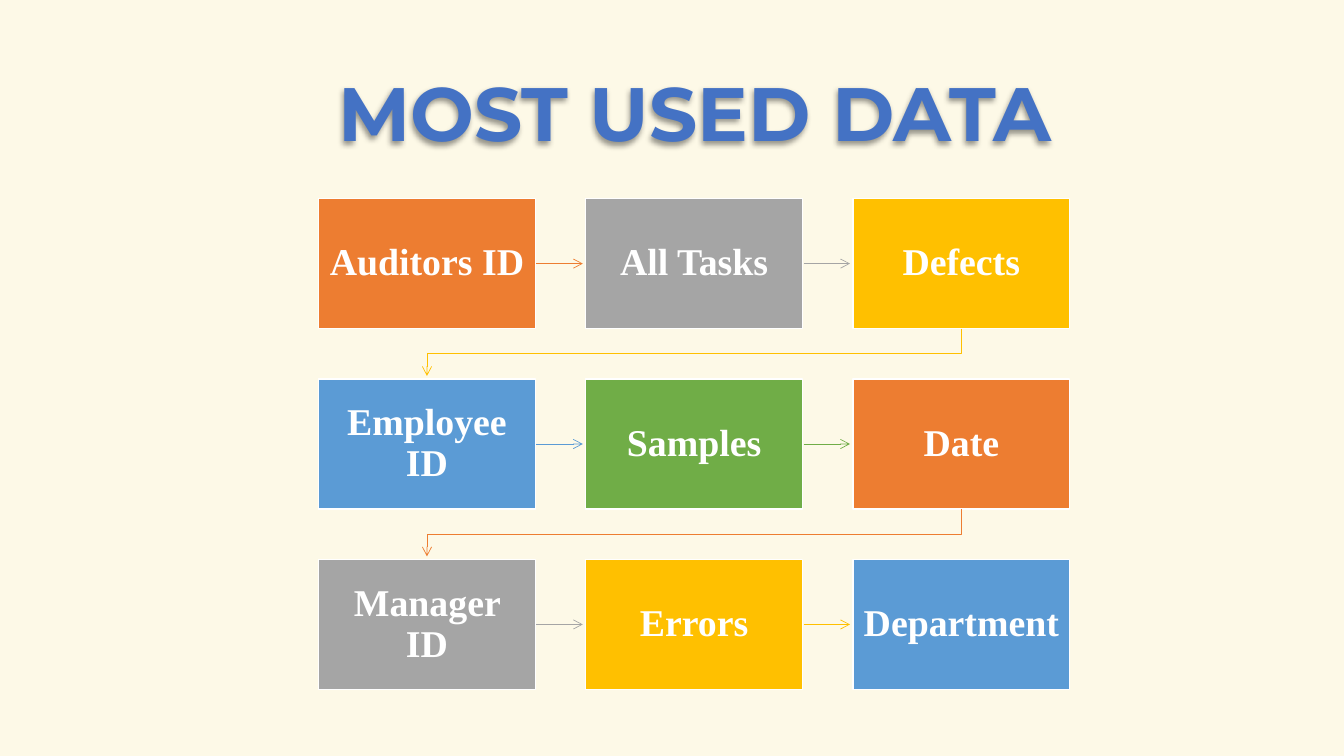
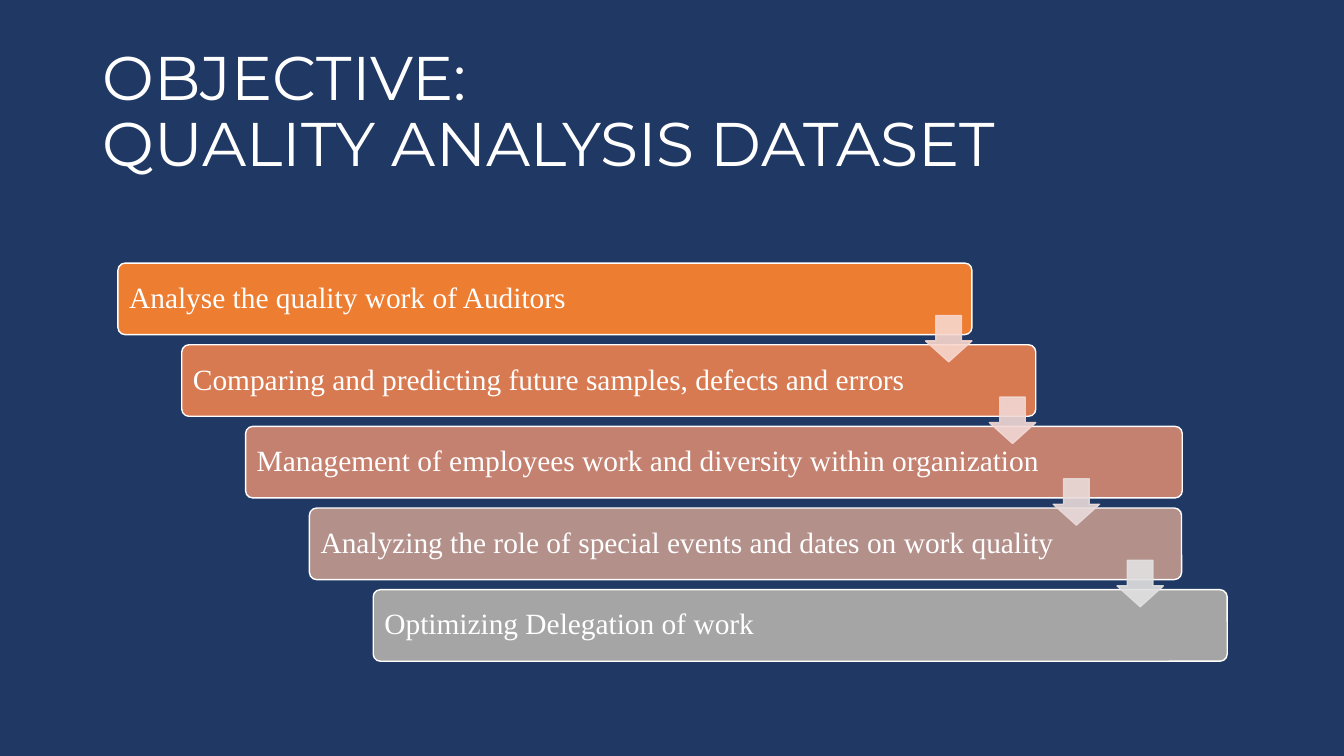
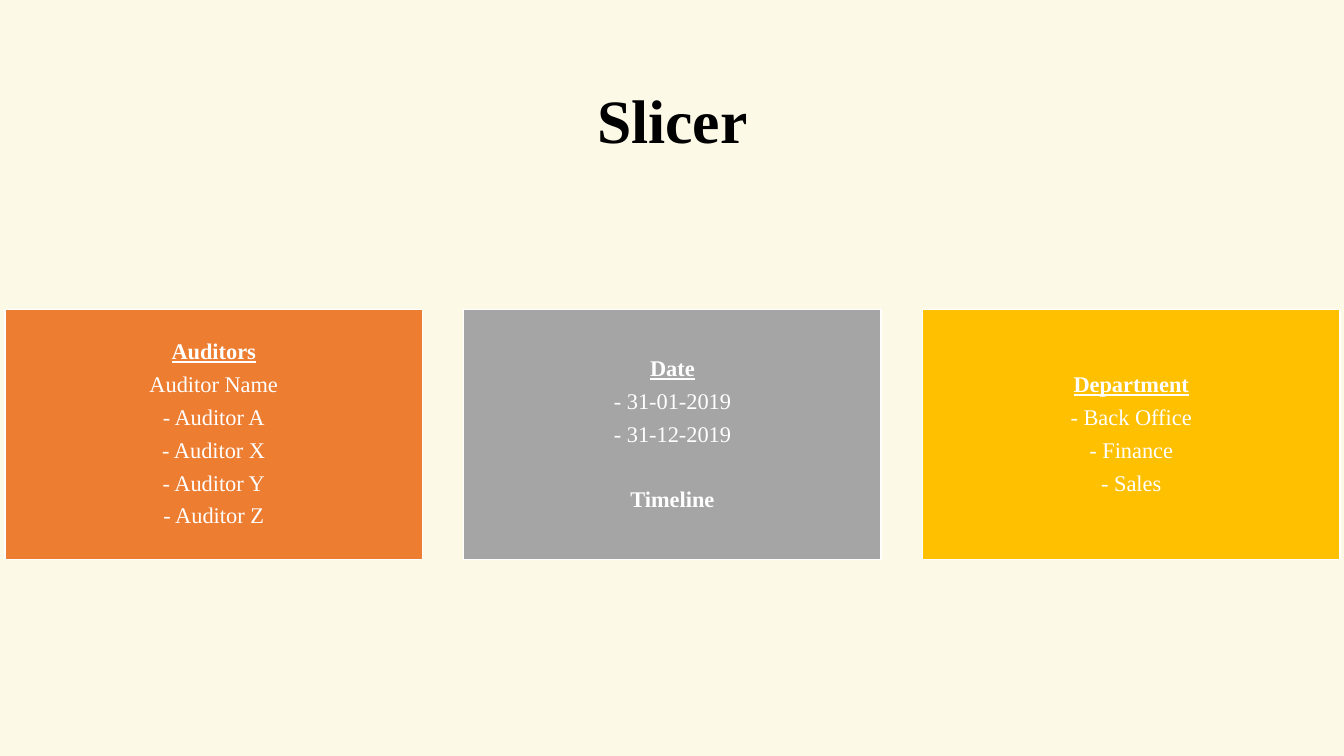
import dataclasses

import lxml.etree
import pptx
import pptx.dml.color
import pptx.enum.shapes
import pptx.enum.text
import pptx.oxml.ns
import pptx.util

Inches = pptx.util.Inches
SHAPES = pptx.enum.shapes.MSO_SHAPE
ALIGN = pptx.enum.text.PP_ALIGN
qn = pptx.oxml.ns.qn


@dataclasses.dataclass(frozen=True)
class Theme:
    """Colours, fonts and type sizes of the deck."""
    cream: str = "FDF9E7"
    navy: str = "203864"
    white: str = "FFFFFF"
    black: str = "000000"
    heading_blue: str = "4472C4"
    orange: str = "ED7D31"
    grey: str = "A5A5A5"
    gold: str = "FFC000"
    blue: str = "5B9BD5"
    green: str = "70AD47"
    display: str = "Montserrat"
    serif: str = "Times New Roman"
    hero_size: int = 54
    title_size: int = 44
    field_size: int = 27
    step_size: int = 21
    card_size: int = 16
    after: float = 0.39

    @property
    def accents(self):
        """Return the colour cycle of the boxes."""
        return [self.orange, self.grey, self.gold, self.blue, self.green]


THEME = Theme()


def rgb(code):
    """Return the colour for a hex code."""
    return pptx.dml.color.RGBColor.from_string(code)


def write(frame, lines, size, color=THEME.white, font=THEME.serif, bold=False,
          align=ALIGN.CENTER, spacing=0.9, after=0, inset=(0.1, 0.05, 0.1, 0.05), wrap=True):
    """Write lines, each a string or a (string, overrides) pair, into a text frame."""
    frame.word_wrap = wrap
    frame.auto_size = pptx.enum.text.MSO_AUTO_SIZE.NONE
    frame.vertical_anchor = pptx.enum.text.MSO_ANCHOR.MIDDLE
    frame.margin_left, frame.margin_top, frame.margin_right, frame.margin_bottom = map(Inches, inset)
    for number, line in enumerate(lines):
        text, extra = (line, {}) if isinstance(line, str) else line
        paragraph = frame.paragraphs[0] if number == 0 else frame.add_paragraph()
        paragraph.text = text
        paragraph.alignment = align
        paragraph.line_spacing = spacing
        paragraph.space_before = pptx.util.Pt(extra.get("before", 0))
        paragraph.space_after = pptx.util.Pt(after)
        for run in paragraph.runs:
            run.font.name = font
            run.font.size = pptx.util.Pt(size)
            run.font.bold = extra.get("bold", bold)
            run.font.underline = extra.get("underline", False)
            run.font.color.rgb = rgb(color)


def add_slide(deck, title, box, **style):
    """Add a title-only slide and return it with its placed title."""
    slide = deck.slides.add_slide(deck.slide_layouts[5])
    heading = slide.shapes.title
    heading.left, heading.top, heading.width, heading.height = map(Inches, box)
    write(heading.text_frame, [title], **style)
    return slide, heading


def add_box(slide, kind, box, fill, line=THEME.white):
    """Add a filled, outlined preset shape without shadow."""
    shape = slide.shapes.add_shape(kind, *map(Inches, box))
    shape.shadow.inherit = False
    shape.fill.solid()
    shape.fill.fore_color.rgb = rgb(fill)
    shape.line.color.rgb = rgb(line)
    shape.line.width = pptx.util.Pt(1)
    return shape


def style_arrow(arrow, color):
    """Give a line its colour, half-point width and open arrowhead."""
    arrow.line.color.rgb = rgb(color)
    arrow.line.width = pptx.util.Pt(0.5)
    outline = arrow._element.spPr.find(qn("a:ln"))
    lxml.etree.SubElement(outline, qn("a:tailEnd"), type="arrow")


def add_straight_arrow(slide, start, end, color):
    """Add a straight arrow between two points."""
    straight = pptx.enum.shapes.MSO_CONNECTOR.STRAIGHT
    arrow = slide.shapes.add_connector(straight, *map(Inches, start + end))
    style_arrow(arrow, color)
    lxml.etree.SubElement(arrow._element.spPr, qn("a:effectLst"))


def add_return_arrow(slide, start, end, drop, color):
    """Add an arrow that drops, runs back and drops to the next row."""
    corners = [(start[0], start[1] + drop), (end[0], start[1] + drop), end]
    builder = slide.shapes.build_freeform(*map(Inches, start))
    builder.add_line_segments([tuple(map(Inches, corner)) for corner in corners], close=False)
    arrow = builder.convert_to_shape()
    arrow.shadow.inherit = False
    arrow.fill.background()
    style_arrow(arrow, color)


def add_soft_shadow(heading):
    """Cast a soft shadow down and left from the heading."""
    effects = lxml.etree.SubElement(heading._element.spPr, qn("a:effectLst"))
    shadow = lxml.etree.SubElement(effects, qn("a:outerShdw"), blurRad="50800", dist="38100",
                                   dir="8100000", algn="tr", rotWithShape="0")
    tone = lxml.etree.SubElement(shadow, qn("a:srgbClr"), val=THEME.black)
    lxml.etree.SubElement(tone, qn("a:alpha"), val="40000")


def add_field_flow(slide, fields, left, top, columns=3):
    """Lay out the fields as a snaking flow from the given corner."""
    width, height, step_x, step_y, gap = 2.15, 1.29, 2.65, 1.79, 0.03
    for number, field in enumerate(fields):
        row, column = divmod(number, columns)
        x, y = left + column * step_x, top + row * step_y
        color = THEME.accents[number % len(THEME.accents)]
        box = add_box(slide, SHAPES.RECTANGLE, (x, y, width, height), color)
        write(box.text_frame, [field], THEME.field_size, bold=True,
              after=THEME.field_size * THEME.after, inset=(0.1,) * 4)
        if number == len(fields) - 1:
            continue
        if column < columns - 1:
            middle = y + height / 2
            add_straight_arrow(slide, (x + width + 0.01, middle), (x + step_x - gap, middle), color)
        else:
            add_return_arrow(slide, (x + width / 2, y + height),
                             (left + width / 2, y + step_y - gap), 0.25, color)


def add_staircase(slide, steps, arrow_colors, left, top):
    """Lay out bars stepping down right, then the arrows joining them."""
    height, step_x, step_y, arrow_side = 0.71, 0.633, 0.81, 0.46
    for number, (text, width, fill) in enumerate(steps):
        corner = (left + number * step_x, top + number * step_y)
        bar = add_box(slide, SHAPES.ROUNDED_RECTANGLE, corner + (width, height), fill)
        bar.adjustments[0] = 0.1
        write(bar.text_frame, [text], THEME.step_size, align=ALIGN.LEFT,
              after=THEME.step_size * THEME.after, inset=(0.09, 0.09, 0.9, 0.09))
    for number, color in enumerate(arrow_colors):
        corner = (left + 8.01 + number * step_x, top + 0.52 + number * step_y)
        arrow = add_box(slide, SHAPES.DOWN_ARROW, corner + (arrow_side, arrow_side), color, color)
        arrow.adjustments[0] = 0.55
        arrow.adjustments[1] = 0.45
        for tone in arrow._element.spPr.iter(qn("a:srgbClr")):
            lxml.etree.SubElement(tone, qn("a:alpha"), val="90000")


def add_cards(slide, cards, left, top):
    """Lay out equal cards in a row, each headed by an underlined name."""
    width, height, step = 4.14, 2.48, 4.55
    for number, (name, *lines) in enumerate(cards):
        card = add_box(slide, SHAPES.RECTANGLE, (left + number * step, top, width, height),
                       THEME.accents[number])
        heading = (name, {"bold": True, "underline": True})
        write(card.text_frame, [heading, *lines], THEME.card_size,
              after=THEME.card_size * THEME.after, inset=(0.07,) * 4)


def build_data_slide(deck):
    """Build the slide of most used data fields."""
    slide, heading = add_slide(deck, "MOST USED DATA", (3.07, 0.6, 7.64, 1.01),
                               size=THEME.hero_size, font=THEME.display, bold=True,
                               color=THEME.heading_blue, spacing=1.0, wrap=False)
    add_soft_shadow(heading)
    fields = ["Auditors ID", "All Tasks", "Defects", "Employee ID", "Samples", "Date",
              "Manager ID", "Errors", "Department"]
    add_field_flow(slide, fields, 3.16, 1.97)


def build_objective_slide(deck):
    """Build the slide of objectives on a dark background."""
    slide, _ = add_slide(deck, "OBJECTIVE:\vQUALITY ANALYSIS DATASET", (0.92, 0.4, 11.5, 1.45),
                         size=THEME.title_size, font=THEME.display, align=ALIGN.LEFT)
    slide.background.fill.solid()
    slide.background.fill.fore_color.rgb = rgb(THEME.navy)
    steps = [
        ("Analyse the quality work of Auditors", 8.47, THEME.orange),
        ("Comparing and predicting future samples, defects and errors", 8.47, "D87A51"),
        ("Management of employees work and diversity within organization", 9.29, "C48170"),
        ("Analyzing the role of special events and dates on work quality", 8.65, "B4908B"),
        ("Optimizing Delegation of work", 8.47, THEME.grey),
    ]
    add_staircase(slide, steps, ["F8D7CE", "F1D8D4", "E9DBDA", "E1E1E1"], 1.17, 2.61)


def build_slicer_slide(deck):
    """Build the slide of slicer cards."""
    slide, _ = add_slide(deck, "Slicer", (0.92, 0.5, 11.5, 1.45), size=THEME.title_size,
                         bold=True, color=THEME.black)
    cards = [
        ("Auditors", "Auditor Name", "- Auditor A", "- Auditor X", "- Auditor Y", "- Auditor Z"),
        ("Date", "- 31-01-2019", "- 31-12-2019", ("Timeline", {"bold": True, "before": 22.8})),
        ("Department", "- Back Office", "- Finance", "- Sales"),
    ]
    add_cards(slide, cards, 0.05, 3.07)


def main():
    """Build and save the deck."""
    deck = pptx.Presentation()
    deck.slide_width, deck.slide_height = Inches(13.33), Inches(7.5)
    backdrop = deck.slide_master.background.fill
    backdrop.solid()
    backdrop.fore_color.rgb = rgb(THEME.cream)
    build_data_slide(deck)
    build_objective_slide(deck)
    build_slicer_slide(deck)
    deck.save("out.pptx")


if __name__ == "__main__":
    main()
